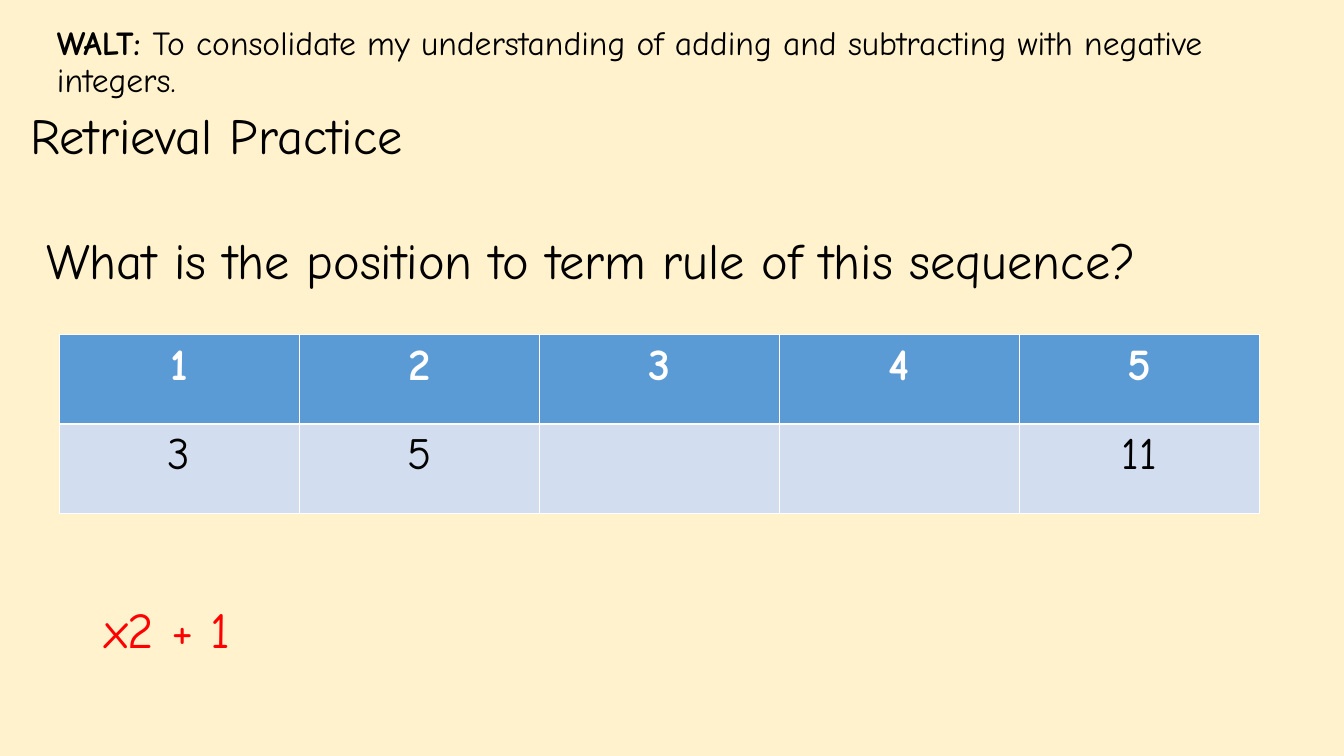
"""Build a retrieval practice slide about the rule of a number sequence."""
from pptx import Presentation
from pptx.dml.color import RGBColor
from pptx.enum.text import PP_ALIGN
from pptx.util import Inches, Pt

FONT = "Comic Neue"
WIDTH, HEIGHT = Inches(13.33), Inches(7.5)
COLORS = {"paper": "FFF2CC", "ink": "000000", "answer": "FF0000",
          "header": "5B9BD5", "body": "D2DEEF", "white": "FFFFFF"}
POSITIONS = ["1", "2", "3", "4", "5"]
TERMS = ["3", "5", "", "", "11"]


def rgb(name):
    return RGBColor.from_string(COLORS[name])


def frame(x, y, w, h):
    return int(WIDTH * x), int(HEIGHT * y), int(WIDTH * w), int(HEIGHT * h)


def add_run(p, text, size=36, color="ink", bold=False):
    r = p.add_run()
    r.text = text
    r.font.name = FONT
    r.font.size = Pt(size)
    r.font.bold = bold
    r.font.color.rgb = rgb(color)


def add_text(slide, text, box, label="", spacing=1.0, **style):
    tf = slide.shapes.add_textbox(*frame(*box)).text_frame
    tf.word_wrap = True
    p = tf.paragraphs[0]
    p.line_spacing = spacing
    if label:
        add_run(p, label, bold=True, **style)
    add_run(p, text, **style)


def fill_row(cells, values, fill, **style):
    for cell, value in zip(cells, values):
        cell.fill.solid()
        cell.fill.fore_color.rgb = rgb(fill)
        p = cell.text_frame.paragraphs[0]
        p.alignment = PP_ALIGN.CENTER
        p.font.size = Pt(32)
        if value:
            add_run(p, value, size=32, **style)


def add_sequence(slide, box):
    table = slide.shapes.add_table(2, len(POSITIONS), *frame(*box)).table
    table.horz_banding = False
    fill_row(table.rows[0].cells, POSITIONS, "header", color="white", bold=True)
    fill_row(table.rows[1].cells, TERMS, "body")


def main():
    prs = Presentation()
    prs.slide_width, prs.slide_height = WIDTH, HEIGHT
    slide = prs.slides.add_slide(prs.slide_layouts[6])
    slide.background.fill.solid()
    slide.background.fill.fore_color.rgb = rgb("paper")

    add_text(slide, "Retrieval Practice", (0.015, 0.14, 0.944, 0.135), spacing=0.9)
    add_text(slide, "To consolidate my understanding of adding and subtracting "
             "with negative integers.", (0.035, 0.029, 0.943, 0.177),
             label="WALT: ", spacing=0.9, size=24)
    add_sequence(slide, (0.044, 0.443, 0.893, 0.236))
    add_text(slide, "x2 + 1", (0.07, 0.785, 0.119, 0.09), color="answer")
    add_text(slide, "What is the position to term rule of this sequence?",
             (0.027, 0.297, 0.923, 0.09))
    prs.save("out.pptx")


if __name__ == "__main__":
    main()
